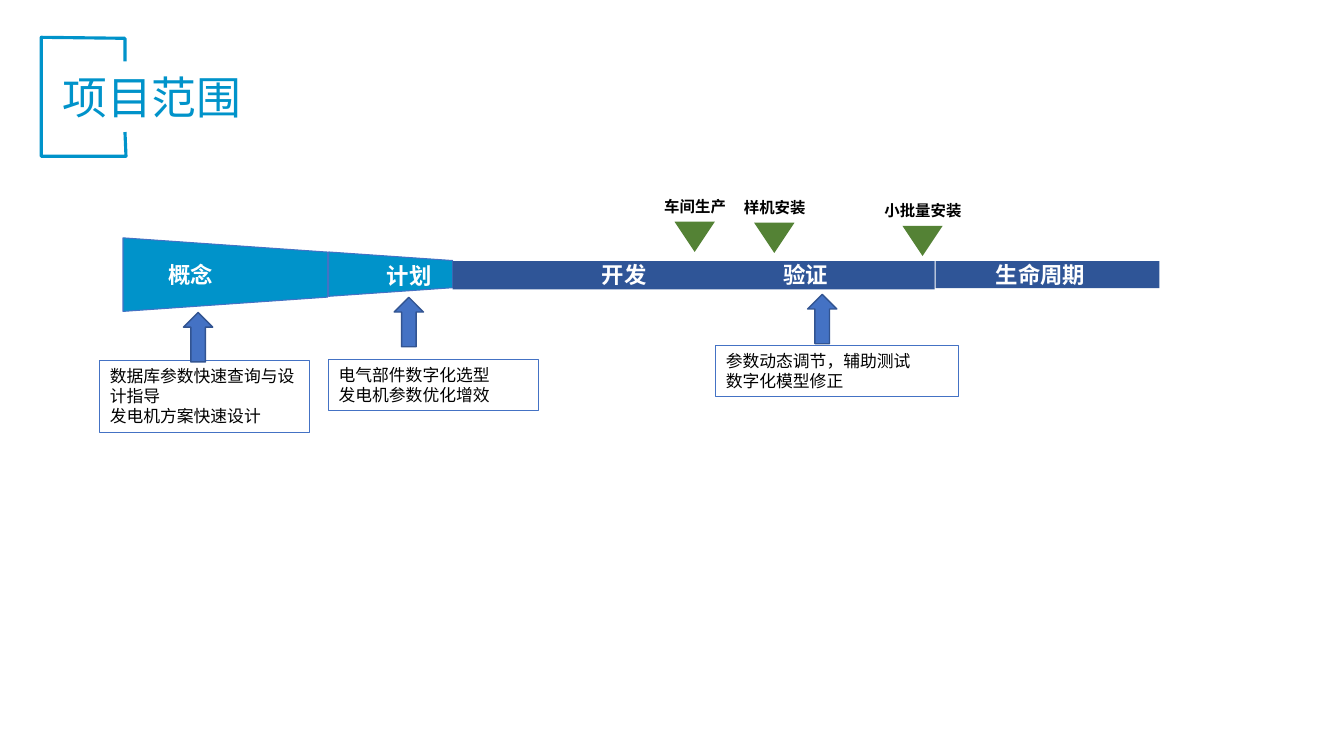
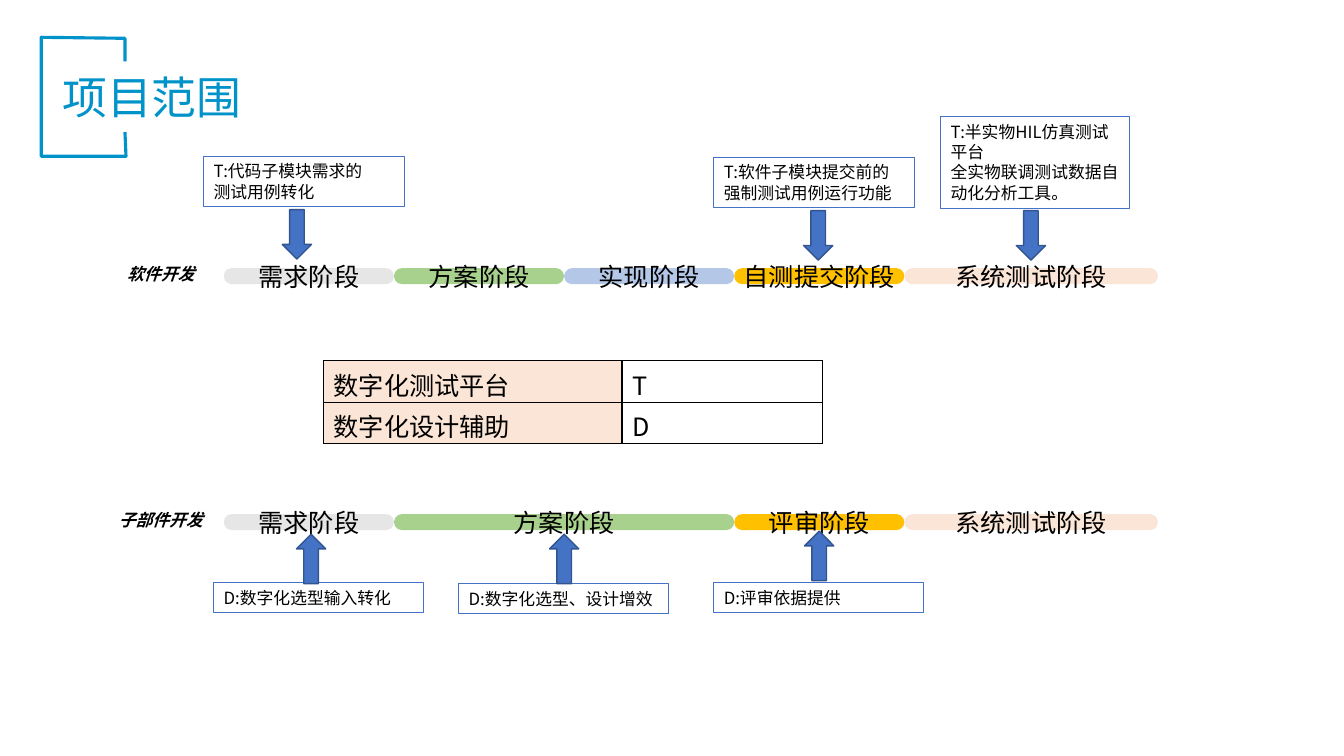
from dataclasses import dataclass

from lxml import etree
from pptx import Presentation
from pptx import util as u
from pptx.dml.color import RGBColor
from pptx.enum import shapes, text
from pptx.oxml import ns

Inches = u.Inches
SHAPE = shapes.MSO_SHAPE
ALIGN = text.PP_ALIGN
ANCHOR = text.MSO_ANCHOR

COLORS = {
    "accent": "0093CA", "blue": "4472C4", "arrow_edge": "325491", "navy": "2F5597",
    "marker": "548235", "black": "000000", "white": "FFFFFF", "grey": "E7E6E6",
    "green": "A9D18E", "pale_blue": "B4C7E7", "amber": "FFC000", "peach": "FBE5D6",
}
CJK_FONT = "Noto Sans CJK SC"
FORMATS = {
    "title": {"name": CJK_FONT, "size": u.Pt(32)},
    "phase": {"name": CJK_FONT, "size": u.Pt(16), "bold": True},
    "milestone": {"name": CJK_FONT, "size": u.Pt(11), "bold": True},
    "note": {"name": CJK_FONT, "size": u.Pt(12)},
    "stage": {"name": "Arial", "size": u.Pt(18)},
    "track": {"name": "Arial", "size": u.Pt(12), "bold": True, "italic": True},
    "cell": {"name": CJK_FONT, "size": u.Pt(18)},
}
TITLE = "项目范围"
BRACKET = [(1.24, 1.31), (1.25, 1.55), (0.41, 1.55), (0.41, 0.37), (1.24, 0.38), (1.24, 0.61)]
ARROW_W, ARROW_H = 0.29, 0.49
MARKER_W, MARKER_H = 0.4, 0.3
TRACK_LEFT, STAGE_W, STAGE_H = 2.22, 6.75 / 4, 0.16


@dataclass(frozen=True)
class Area:
    left: float
    top: float
    width: float
    height: float

    def lengths(self):
        return [Inches(v) for v in (self.left, self.top, self.width, self.height)]


@dataclass(frozen=True)
class Label:
    center: float
    top: float
    words: str


@dataclass(frozen=True)
class Note:
    area: Area
    lines: tuple
    arrow_left: float
    arrow_top: float
    points_up: bool = True


@dataclass(frozen=True)
class Stage:
    words: str
    color: str
    span: float = 1


@dataclass(frozen=True)
class Track:
    name: str
    name_top: float
    top: float
    stages: tuple


FUNNEL = (Area(1.22, 2.36, 2.03, 0.73), Area(3.26, 2.5, 1.23, 0.44))
BARS = (Area(4.49, 2.59, 4.78, 0.28), Area(9.28, 2.59, 2.22, 0.27))
PHASES = (
    Label(1.89, 2.54, "概念"), Label(4.06, 2.55, "计划"), Label(6.19, 2.54, "开发"),
    Label(7.99, 2.54, "验证"), Label(10.32, 2.54, "生命周期"),
)
MILESTONES = (
    Label(6.89, 2.2, "车间生产"), Label(7.68, 2.21, "样机安装"), Label(9.15, 2.24, "小批量安装"),
)
PHASE_NOTES = (
    Note(Area(3.26, 3.57, 2.08, 0.5), ("电气部件数字化选型", "发电机参数优化增效"), 3.91, 2.95),
    Note(Area(0.99, 3.58, 2.08, 0.71),
         ("数据库参数快速查询与设计指导", "发电机方案快速设计"), 1.82, 3.1),
    Note(Area(7.1, 3.43, 2.41, 0.5), ("参数动态调节，辅助测试", "数字化模型修正"), 8.01, 2.92),
)

DEMAND = Stage("需求阶段", "grey")
SYSTEM_TEST = Stage("系统测试阶段", "peach", 1.49)
TRACKS = (
    Track("软件开发", 2.57, 2.66, (
        DEMAND, Stage("方案阶段", "green"), Stage("实现阶段", "pale_blue"),
        Stage("自测提交阶段", "amber"), SYSTEM_TEST)),
    Track("子部件开发", 5.01, 5.1, (
        DEMAND, Stage("方案阶段", "green", 2), Stage("评审阶段", "amber"), SYSTEM_TEST)),
)
TRACK_NOTES = (
    Note(Area(2.02, 1.55, 1.99, 0.5), ("T:代码子模块需求的", "测试用例转化"), 2.8, 2.08, False),
    Note(Area(7.08, 1.56, 1.99, 0.5),
         ("T:软件子模块提交前的强制测试用例运行功能",), 7.97, 2.09, False),
    Note(Area(9.33, 1.16, 1.87, 0.91),
         ("T:半实物HIL仿真测试平台", "全实物联调测试数据自动化分析工具。"), 10.08, 2.09, False),
    Note(Area(2.12, 5.78, 2.08, 0.3), ("D:数字化选型输入转化",), 2.94, 5.3),
    Note(Area(4.55, 5.79, 2.08, 0.3), ("D:数字化选型、设计增效",), 5.45, 5.3),
    Note(Area(7.08, 5.78, 2.08, 0.3), ("D:评审依据提供",), 7.98, 5.27),
)
LEGEND = (("数字化测试平台", "T"), ("数字化设计辅助", "D"))


def rgb(color: str) -> RGBColor:
    return RGBColor.from_string(COLORS[color])


def write(frame, lines, style: str, color="black", align=ALIGN.LEFT,
          anchor=ANCHOR.TOP, inset=None) -> None:
    """Fill a text frame, one paragraph per line."""
    frame.word_wrap = True
    frame.vertical_anchor = anchor
    if inset is not None:
        for side in ("left", "top", "right", "bottom"):
            setattr(frame, f"margin_{side}", Inches(inset))
    for index, line in enumerate(lines):
        paragraph = frame.add_paragraph() if index else frame.paragraphs[0]
        paragraph.alignment = align
        run = paragraph.add_run()
        run.text = line
        for key, value in FORMATS[style].items():
            setattr(run.font, key, value)
        run.font.color.rgb = rgb(color)
        east_asian = etree.SubElement(run.font._element, ns.qn("a:ea"))
        east_asian.set("typeface", CJK_FONT)


def paint(shape, fill=None, line=None, line_width=0.75) -> None:
    shape.shadow.inherit = False
    if fill:
        shape.fill.solid()
        shape.fill.fore_color.rgb = rgb(fill)
    else:
        shape.fill.background()
    if line:
        shape.line.color.rgb = rgb(line)
        shape.line.width = u.Pt(line_width)
    else:
        shape.line.fill.background()


def add_figure(slide, kind, area: Area, **look):
    figure = slide.shapes.add_shape(kind, *area.lengths())
    paint(figure, **look)
    return figure


def add_text(slide, area: Area, words: str, style: str, **layout) -> None:
    box = slide.shapes.add_textbox(*area.lengths())
    write(box.text_frame, [words], style, **layout)


def add_titled_slide(deck):
    slide = deck.slides.add_slide(deck.slide_layouts[6])
    start, *corners = [(Inches(x), Inches(y)) for x, y in BRACKET]
    builder = slide.shapes.build_freeform(*start)
    builder.add_line_segments(corners, close=False)
    paint(builder.convert_to_shape(), line="accent", line_width=2.25)
    add_text(slide, Area(0.52, 0.64, 9.75, 0.64), TITLE, "title", color="accent")
    return slide


def add_note(slide, note: Note) -> None:
    box = add_figure(slide, SHAPE.RECTANGLE, note.area, line="blue")
    write(box.text_frame, note.lines, "note")
    arrow = add_figure(slide, SHAPE.DOWN_ARROW,
                       Area(note.arrow_left, note.arrow_top, ARROW_W, ARROW_H),
                       fill="blue", line="arrow_edge", line_width=1)
    arrow.rotation = 180 if note.points_up else 0


def add_funnel_part(slide, seen: Area) -> None:
    """Draw a trapezoid that narrows to the right inside the given area."""
    upright = Area(seen.left + (seen.width - seen.height) / 2,
                   seen.top + (seen.height - seen.width) / 2, seen.height, seen.width)
    part = add_figure(slide, SHAPE.TRAPEZOID, upright, fill="accent", line="blue")
    part.adjustments[0] = 0.194
    part.rotation = 90


def add_milestone(slide, milestone: Label) -> None:
    add_figure(slide, SHAPE.FLOWCHART_MERGE,
               Area(milestone.center - MARKER_W / 2, milestone.top, MARKER_W, MARKER_H),
               fill="marker")
    add_text(slide, Area(milestone.center - 0.58, milestone.top - 0.29, 1.17, 0.29),
             milestone.words, "milestone", align=ALIGN.CENTER)


def add_track(slide, track: Track) -> None:
    add_text(slide, Area(1.07, track.name_top, 1.05, 0.3), track.name, "track",
             align=ALIGN.CENTER, inset=0.05)
    left = TRACK_LEFT
    for stage in track.stages:
        width = STAGE_W * stage.span
        bar = add_figure(slide, SHAPE.ROUNDED_RECTANGLE,
                         Area(left, track.top, width, STAGE_H), fill=stage.color)
        bar.adjustments[0] = 0.5
        write(bar.text_frame, [stage.words], "stage", align=ALIGN.CENTER,
              anchor=ANCHOR.MIDDLE, inset=0)
        left += width


def add_borders(cell) -> None:
    properties = cell._tc.get_or_add_tcPr()
    for index, side in enumerate(("lnL", "lnR", "lnT", "lnB")):
        border = etree.Element(ns.qn(f"a:{side}"), w=str(u.Pt(1)))
        fill = etree.SubElement(border, ns.qn("a:solidFill"))
        etree.SubElement(fill, ns.qn("a:srgbClr"), val=COLORS["black"])
        properties.insert(index, border)


def add_legend(slide) -> None:
    area = Area(3.21, 3.58, 4.95, 0.82)
    table = slide.shapes.add_table(len(LEGEND), 2, *area.lengths()).table
    table.first_row = table.horz_banding = False
    for column, width in zip(table.columns, (2.96, 1.99)):
        column.width = Inches(width)
    for row, entries in enumerate(LEGEND):
        table.rows[row].height = Inches(0.41)
        for column, (words, fill) in enumerate(zip(entries, ("peach", "white"))):
            cell = table.cell(row, column)
            cell.fill.solid()
            cell.fill.fore_color.rgb = rgb(fill)
            write(cell.text_frame, [words], "cell")
            cell.margin_bottom = 0
            add_borders(cell)


def build_phase_slide(deck) -> None:
    slide = add_titled_slide(deck)
    for note in PHASE_NOTES:
        add_note(slide, note)
    for part in FUNNEL:
        add_funnel_part(slide, part)
    for bar in BARS:
        add_figure(slide, SHAPE.RECTANGLE, bar, fill="navy")
    for phase in PHASES:
        add_text(slide, Area(phase.center - 0.6, phase.top, 1.2, 0.37), phase.words,
                 "phase", color="white", align=ALIGN.CENTER)
    for milestone in MILESTONES:
        add_milestone(slide, milestone)


def build_track_slide(deck) -> None:
    slide = add_titled_slide(deck)
    for track in TRACKS:
        add_track(slide, track)
    add_legend(slide)
    for note in TRACK_NOTES:
        add_note(slide, note)


def main() -> None:
    deck = Presentation()
    deck.slide_width, deck.slide_height = Inches(13.33), Inches(7.5)
    build_phase_slide(deck)
    build_track_slide(deck)
    deck.save("out.pptx")


if __name__ == "__main__":
    main()
